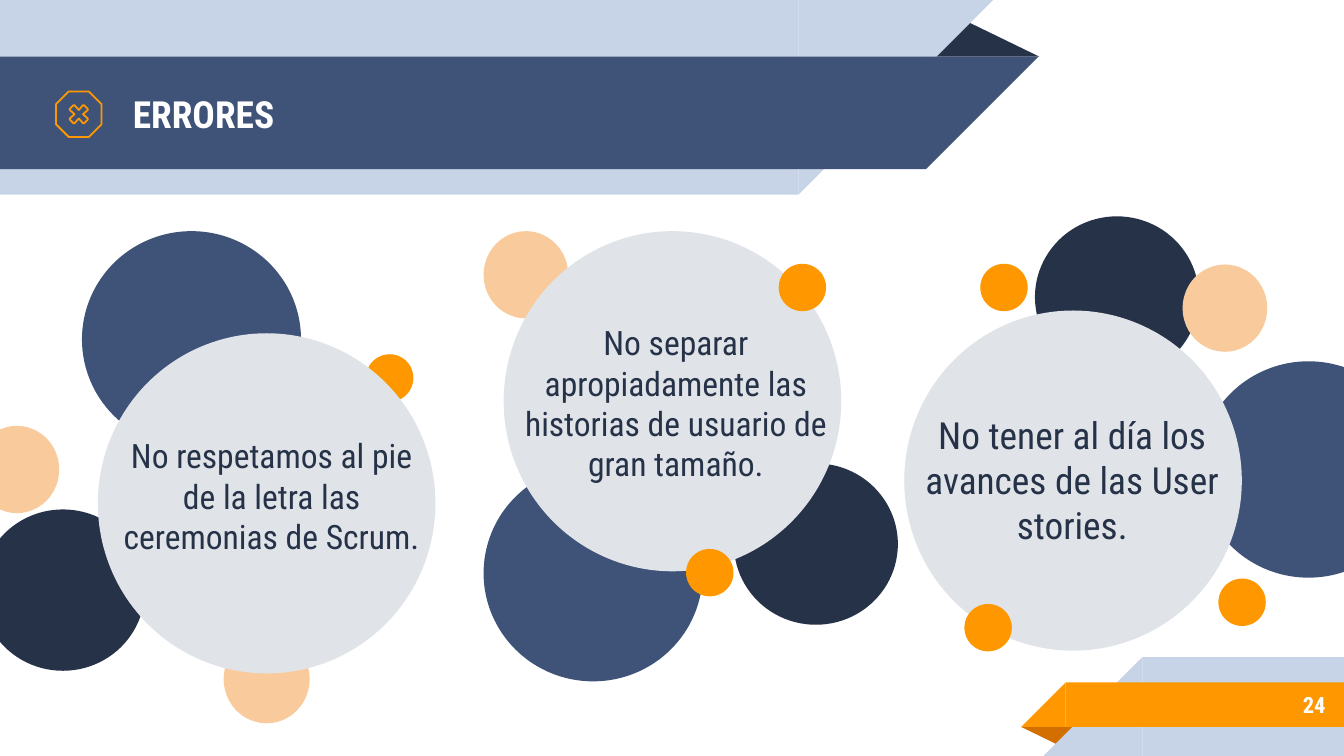
from pptx import Presentation
from pptx import util as u
from pptx.dml.color import RGBColor
from pptx.enum import shapes, text

NAVY, BLUE, PALE, GREY = "263248", "3F5378", "C7D3E6", "E0E4E9"
ORANGE, BROWN, PEACH, WHITE = "FF9800", "D26F00", "F9CB9C", "FFFFFF"
GEO = shapes.MSO_SHAPE
DOT, SMALL, MEDIUM, LARGE, MAIN = (
    (0.87, 0.87), (1.6, 1.65), (3.1, 3.05), (4.14, 4.09), (6.38, 6.43))


def rgb(code):
    return RGBColor.from_string(code)


def quarter_turns(points):
    ring = []
    for _ in range(4):
        ring += points
        points = [(-y, x) for x, y in points]
    return ring


class Deck:
    font = "Roboto Condensed"

    def __init__(self, width, height):
        self.prs = Presentation()
        self.prs.slide_width, self.prs.slide_height = u.Cm(width), u.Cm(height)
        self.s = self.prs.slides.add_slide(self.prs.slide_layouts[6])

    def shape(self, kind, x, y, w, h, fill, line=None, rotation=0):
        sp = self.s.shapes.add_shape(kind, u.Cm(x), u.Cm(y), u.Cm(w), u.Cm(h))
        sp.shadow.inherit = False
        sp.fill.solid()
        sp.fill.fore_color.rgb = rgb(fill)
        sp.rotation = rotation
        if line:
            sp.line.color.rgb = rgb(line)
            sp.line.width = u.Pt(0.75)
        else:
            sp.line.fill.background()
        return sp

    def fold(self, x, y, w, h, fill, rotation=0):
        sp = self.shape(GEO.ISOSCELES_TRIANGLE, x, y, w, h, fill, rotation=rotation)
        sp.adjustments[0] = 0.324

    def ribbon(self, x, y, w, h, fill, slope="right"):
        self.shape(GEO.RECTANGLE, x, y, w, h, fill)
        end, rotation = (x + w, 90) if slope == "right" else (x - h, 270)
        self.shape(GEO.RIGHT_TRIANGLE, end, y, h, h, fill, rotation=rotation)

    def circles(self, size, fill, places, line=None):
        for x, y in places:
            self.shape(GEO.OVAL, x, y, *size, fill, line)

    def outline(self, cx, cy, rings, color, width):
        paths = [[(u.Cm(cx + x), u.Cm(cy + y)) for x, y in ring] for ring in rings]
        fb = self.s.shapes.build_freeform(*paths[0][0])
        fb.add_line_segments(paths[0][1:])
        for path in paths[1:]:
            fb.move_to(*path[0])
            fb.add_line_segments(path[1:])
        sp = fb.convert_to_shape()
        sp.shadow.inherit = False
        sp.fill.background()
        sp.line.color.rgb = rgb(color)
        sp.line.width = u.Pt(width)

    def text(self, content, x, y, w, h, size=18, color=NAVY, bold=False,
             align="CENTER", anchor="TOP"):
        sp = self.s.shapes.add_textbox(u.Cm(x), u.Cm(y), u.Cm(w), u.Cm(h))
        tf = sp.text_frame
        tf.word_wrap = True
        tf.vertical_anchor = text.MSO_ANCHOR[anchor]
        tf.margin_left = tf.margin_right = u.Cm(0.25)
        tf.margin_top = tf.margin_bottom = u.Cm(0.25)
        p = tf.paragraphs[0]
        p.alignment = text.PP_ALIGN[align]
        r = p.add_run()
        r.text = content
        r.font.name, r.font.size, r.font.bold = self.font, u.Pt(size), bold
        r.font.color.rgb = rgb(color)


def main():
    d = Deck(25.4, 14.29)

    d.fold(17.48, 0.36, 2.16, 0.71, NAVY)
    d.ribbon(0, 0, 15.09, 3.68, PALE)
    d.ribbon(0, 1.07, 17.5, 2.13, BLUE)
    d.fold(19.3, 13.74, 1.09, 0.36, BROWN, rotation=180)
    d.ribbon(21.59, 12.42, 3.81, 1.87, PALE, slope="left")
    d.ribbon(20.14, 12.9, 5.26, 0.84, ORANGE, slope="left")

    d.circles(DOT, ORANGE, [(6.93, 6.71)], line=ORANGE)
    d.circles(SMALL, PEACH, [(4.24, 12.01)], line=PEACH)
    d.circles(SMALL, PEACH, [(9.14, 4.37)])
    d.circles(LARGE, BLUE, [(1.55, 4.37), (9.14, 8.79)])
    d.circles(MEDIUM, NAVY, [(-0.36, 9.63), (13.87, 8.76), (19.56, 4.09)])
    d.circles(LARGE, BLUE, [(22.66, 6.83)])
    d.circles(MAIN, GREY, [(9.52, 4.37), (17.09, 5.87), (1.85, 6.3)])
    d.circles(SMALL, PEACH, [(22.35, 5), (-0.48, 8.05)])
    d.circles(DOT, ORANGE, [(14.73, 5), (12.98, 10.39), (18.24, 11.43),
                            (18.54, 5), (23.04, 10.95)], line=ORANGE)

    octagon = quarter_turns([(0.43, 0.19), (0.19, 0.43)])
    cross = quarter_turns([(0.08, 0), (0.17, 0.08), (0.17, 0.1),
                           (0.1, 0.17), (0.08, 0.17)])
    d.outline(1.49, 2.16, [octagon, cross], ORANGE, 0.96)

    d.text("ERRORES", 2.26, 1.09, 14.6, 2.13, size=20, color=WHITE, bold=True,
           align="LEFT", anchor="MIDDLE")
    d.text("24", 21.16, 12.88, 4.14, 0.89, size=12, color=WHITE, bold=True,
           align="RIGHT", anchor="MIDDLE")
    d.text("No respetamos al pie de la letra las ceremonias de Scrum.",
           2.01, 7.98, 6.25, 3.05)
    d.text("No separar apropiadamente las historias de usuario de gran tamaño.",
           9.65, 5.84, 6.25, 3.48)
    d.text("No tener al día los avances de las User stories.",
           17.14, 7.54, 6.25, 3.05, size=20)

    d.prs.save("out.pptx")


if __name__ == "__main__":
    main()
